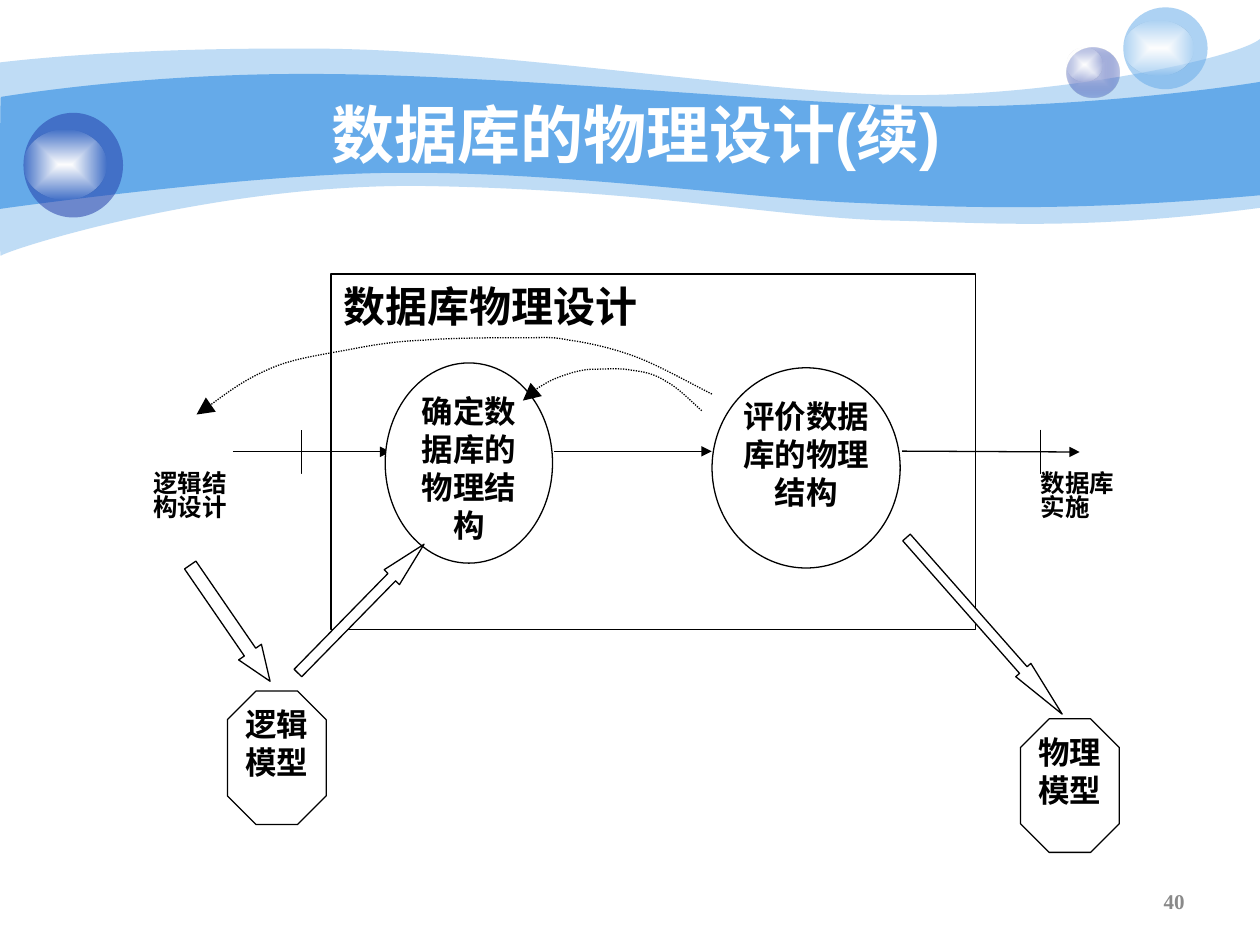
from lxml.etree import SubElement
from pptx import Presentation
from pptx.dml.color import RGBColor
from pptx.enum.dml import MSO_LINE
from pptx.enum.shapes import MSO_CONNECTOR, MSO_SHAPE as Kind
from pptx.enum.text import MSO_ANCHOR as Anchor, PP_ALIGN as Align
from pptx.oxml import parse_xml
from pptx.oxml.ns import nsdecls, qn
from pptx.util import Pt

WHITE = RGBColor(0xFF, 0xFF, 0xFF)
BLACK = RGBColor(0, 0, 0)
SKY = RGBColor(0x65, 0xAA, 0xE9)
NAVY = RGBColor(0x23, 0x3D, 0xA9)
MIST = RGBColor(0xC7, 0xCE, 0xE9)
GRAY = RGBColor(0x89, 0x89, 0x89)
SERIF = "Times New Roman"

# Content: wave edges and curves are cubic points (start, then threes)
TITLE = "数据库的物理设计(续)"
WAVES = [
    (41, [(0, 35.7), (17, 33.7), (77, 27.2), (178, 27.8), (278, 27.8),
          (414, 50.2), (503, 54), (592, 57.6), (706, 34), (720, 22.3)],
     [(720, 118.8), (618, 132), (567, 127.4), (507.6, 126), (448, 124.6),
      (371, 108.7), (247, 106.4), (124, 103.7), (3, 143.3), (0.5, 146.2),
      (-0.7, 149.8), (0, 54), (0, 35.7)]),
    (100, [(0.5, 55.4), (1.4, 55.4), (79, 41.8), (178.6, 42.3), (278, 42.3),
           (428, 57.4), (517, 60.5), (605.5, 63.4), (703, 49.7), (720, 46.8)],
     [(720, 111.6), (614, 121), (551, 118.8), (491, 116), (431, 113.8),
      (322, 98), (228, 98.8), (146, 98.8), (-1.4, 119.5), (-0.7, 119.5),
      (0, 119.5), (0, 55.4), (0.5, 55.4)]),
]
GLOW = [(WHITE, 100), (WHITE, 0)]
BALLS = [  # place, colour stops (colour, opacity)
    ((609.6, 27.2, 30.2, 28.8), [(MIST, 100), (NAVY, 31)]),
    ((609.6, 27.2, 20.2, 19.4), GLOW),
    ((641.9, 4.2, 48.2, 46.8), [(SKY, 53)]),
    ((641.9, 12, 40.3, 31), GLOW),
    ((13.4, 64.5, 56.9, 59.8), [(NAVY, 53)]),
    ((13.4, 74, 47.5, 40.3), GLOW),
]
FRAME = ("数据库物理设计", (189.2, 156.6, 368.1, 203))
LINES = [  # x1, y1, x2, y2, arrow
    (133.1, 258.2, 223.1, 258.2, True),
    (316.7, 257.9, 406.7, 257.9, True),
    (515.5, 257.8, 617, 258.3, True),
    (594.6, 245.5, 594.6, 270.7, False),
    (172.1, 246, 172.1, 271, False),
]
STEPS = [
    ("确定数据库的物理结构", (220.1, 207.4, 95.6, 114.4)),
    ("评价数据库的物理结构", (406.9, 210.2, 107.5, 114.4)),
]
ENDS = [
    ("逻辑结\n构设计", (87.6, 270.8, 90, 38.2)),
    ("数据库\n实施", (594.7, 270.8, 101.5, 38.2)),
]
MODELS = [
    ("物理\n模型", (583.2, 410.8, 56.4, 76.3)),
    ("逻辑\n模型", (130, 394.9, 56.4, 76.3)),
]
FLOWS = [  # place, turn, head length
    ((91.2, 348.2, 80.6, 15.8), 55.5, 1.28),
    ((495.2, 351.9, 134.6, 11.5), 48.6, 2.92),
    ((154.8, 341.7, 103, 12.2), 314.4, 2.16),
]
LOOPS = [
    [(401, 234.7), (397.4, 231.8), (388, 221.8), (381, 218.2), (374.4, 213.8),
     (368, 212.4), (361.4, 211.7), (355, 210.2), (346.3, 211), (340.6, 211),
     (334.8, 211), (332, 211.7), (327, 213), (321.8, 214.6), (315.4, 216.7),
     (311, 219.6), (306, 222.5), (301, 226.8), (298.8, 229)],
    [(406.8, 225.2), (399.6, 221.8), (376.6, 208.8), (363, 203.8),
     (349.2, 198.7), (335.5, 195.8), (325.4, 194.4), (315.4, 192.5),
     (315.4, 193), (301.7, 193), (287.3, 193), (259.2, 193), (242, 194.4),
     (224.6, 195.1), (212.4, 197.3), (197.3, 200.2), (182.2, 203),
     (165.6, 205.2), (152, 211.7), (137.5, 218.2), (120.2, 231.8),
     (112.3, 236.9)],
]
PAGE = ("40", (516.2, 500.4, 167.8, 28.8))

deck = Presentation()
deck.slide_width, deck.slide_height = Pt(720), Pt(540)
slide = deck.slides.add_slide(deck.slide_layouts[5])
shapes = slide.shapes


def draw(chains, close):
    """Chains of cubic curves, joined by straight edges."""
    pts = [(Pt(x), Pt(y)) for chain in chains for x, y in chain]
    pen = shapes.build_freeform(*pts[0])
    pen.add_line_segments(pts[1:], close=close)
    shape = pen.convert_to_shape()
    shape.shadow.inherit = False
    # Fold every three line ends into one cubic curve
    ends = iter(list(shape._element.iter(qn("a:lnTo"))))
    for n, chain in enumerate(chains):
        if n:
            next(ends)
        for _ in range(len(chain) // 3):
            bend = next(ends)
            bend.tag = qn("a:cubicBezTo")
            for _ in range(2):
                end = next(ends)
                bend.append(end[0])
                end.getparent().remove(end)
    return shape


def ink(line):
    line.color.rgb = BLACK
    line.width = Pt(0.75)


def tip(shape, size):
    SubElement(shape.line._get_or_add_ln(), qn("a:tailEnd"),
               type="triangle", w=size, len=size)


def paint(shape, stops):
    """One stop is a plain fill; two run from the middle outwards."""
    marks = [f'<a:srgbClr val="{c}"><a:alpha val="{a * 1000}"/></a:srgbClr>'
             for c, a in stops]
    if len(marks) == 1:
        xml = f'<a:solidFill {nsdecls("a")}>{marks[0]}</a:solidFill>'
    else:
        xml = (f'<a:gradFill {nsdecls("a")}><a:gsLst>'
               f'<a:gs pos="0">{marks[0]}</a:gs>'
               f'<a:gs pos="100000">{marks[1]}</a:gs></a:gsLst>'
               '<a:path path="rect"><a:fillToRect l="50000" t="50000" '
               'r="50000" b="50000"/></a:path></a:gradFill>')
    shape._element.spPr.insert(2, parse_xml(xml))
    shape.line.fill.background()


def put(kind, place, edge=True):
    shape = shapes.add_shape(kind, *map(Pt, place))
    shape.shadow.inherit = False
    if edge:
        ink(shape.line)
    else:
        shape.line.fill.background()
    return shape


def write(shape, text, size, align, color=BLACK, font=SERIF,
          inset=None, anchor=Anchor.TOP, space=None):
    frame = shape.text_frame
    frame.text = text
    frame.word_wrap = True
    frame.vertical_anchor = anchor
    if inset is not None:
        frame.margin_left = frame.margin_right = Pt(inset)
        frame.margin_top = frame.margin_bottom = Pt(inset)
    for para in frame.paragraphs:
        para.alignment = align
        para.line_spacing = space
        for run in para.runs:
            run.font.name, run.font.size = font, Pt(size)
            run.font.bold, run.font.color.rgb = True, color


def node(kind, text, place, size, align, edge=True, inset=0, space=None):
    shape = put(kind, place, edge)
    shape.fill.solid()
    shape.fill.fore_color.rgb = WHITE
    write(shape, text, size, align, inset=inset, space=space)
    return shape


# Backdrop
for alpha, top, base in WAVES:
    paint(draw([top, base], True), [(SKY, alpha)])
for place, stops in BALLS:
    paint(put(Kind.OVAL, place, False), stops)

# Title, lifted above the backdrop
title = shapes.title
title.left, title.top, title.width, title.height = map(Pt, (72.3, 54, 581.8, 44.6))
write(title, TITLE, 36, Align.CENTER, WHITE, "Arial", anchor=Anchor.MIDDLE)
shapes._spTree.append(title._element)

# Frame and straight lines
node(Kind.RECTANGLE, *FRAME, 24, Align.JUSTIFY, inset=None)
for x1, y1, x2, y2, arrow in LINES:
    line = shapes.add_connector(MSO_CONNECTOR.STRAIGHT,
                                Pt(x1), Pt(y1), Pt(x2), Pt(y2))
    ink(line.line)
    if arrow:
        tip(line, "med")
    SubElement(line._element.spPr, qn("a:effectLst"))

# Steps, end labels, models
for text, place in STEPS:
    node(Kind.OVAL, text, place, 18, Align.CENTER)
for text, place in ENDS:
    node(Kind.RECTANGLE, text, place, 14, Align.JUSTIFY, False, space=0.8)
for text, place in MODELS:
    node(Kind.OCTAGON, text, place, 18, Align.CENTER).adjustments[0] = 0.29

# Block arrows and dotted loops
for place, turn, head in FLOWS:
    flow = put(Kind.RIGHT_ARROW, place)
    flow.fill.solid()
    flow.fill.fore_color.rgb = WHITE
    flow.adjustments[1] = head
    flow.rotation = turn
for pts in LOOPS:
    loop = draw([pts], False)
    loop.fill.background()
    ink(loop.line)
    loop.line.dash_style = MSO_LINE.ROUND_DOT
    tip(loop, "lg")

# Page number
text, place = PAGE
write(shapes.add_textbox(*map(Pt, place)), text, 12, Align.RIGHT, GRAY,
      anchor=Anchor.MIDDLE)

deck.save("out.pptx")
